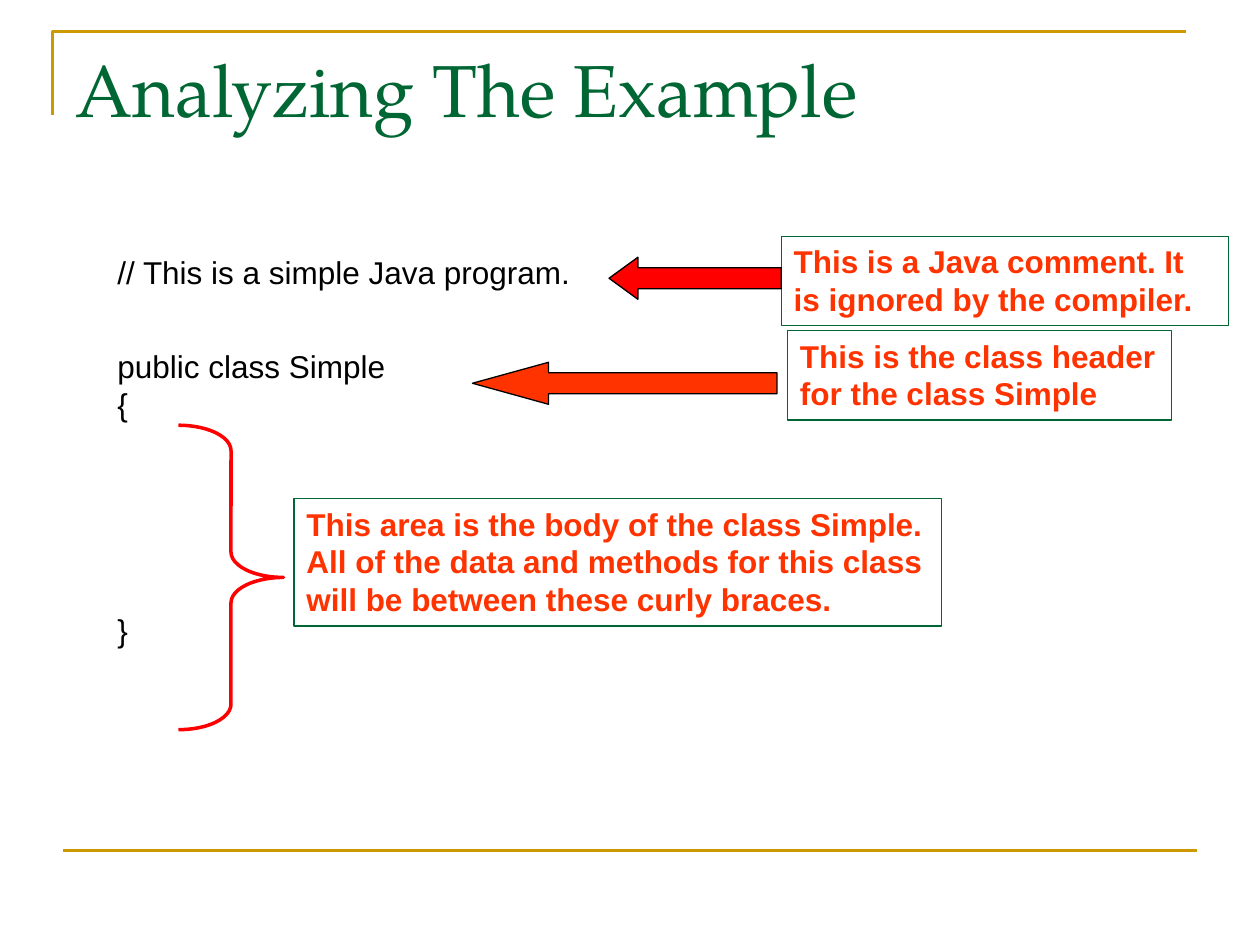
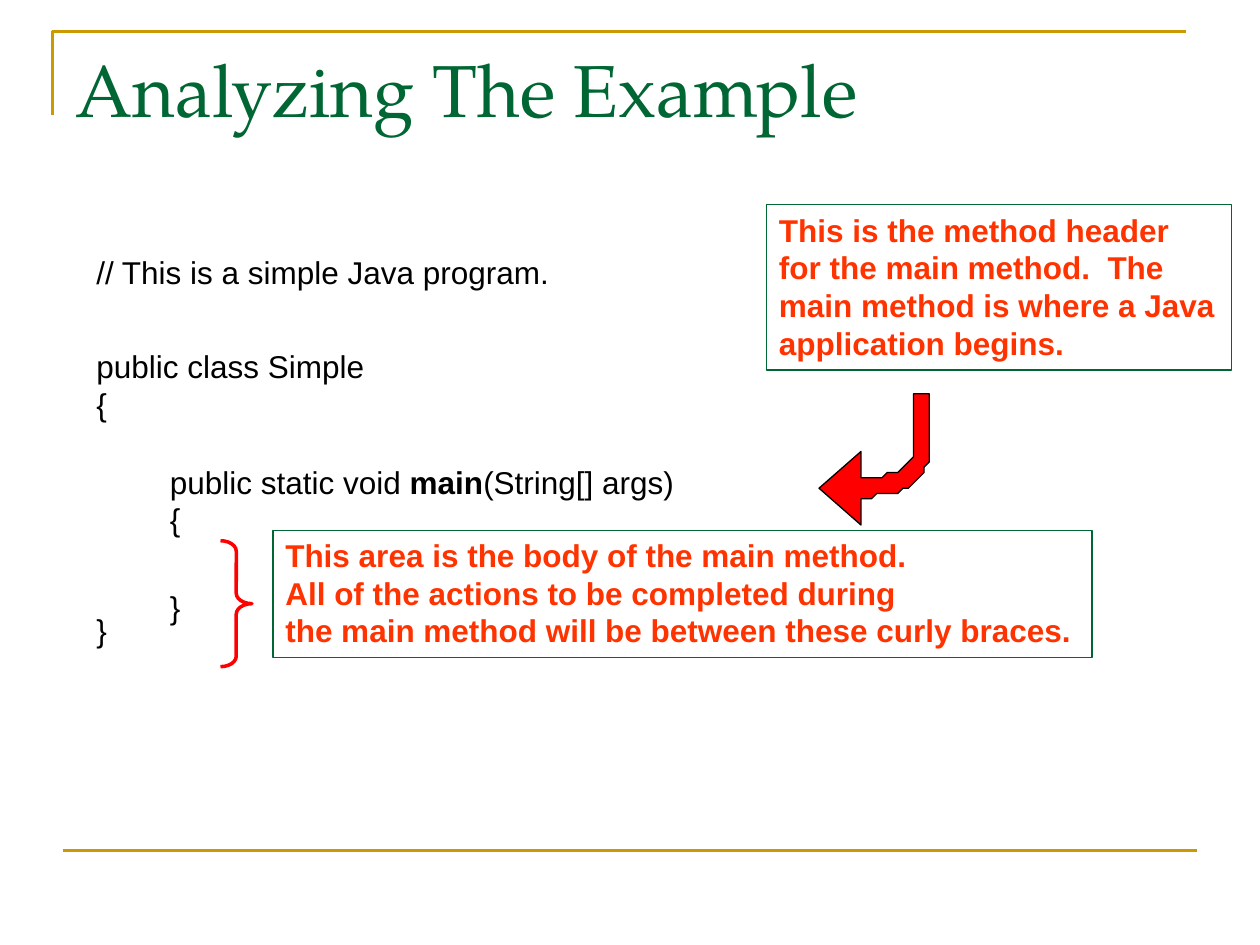
from dataclasses import dataclass
from math import cos, pi, sin

from lxml import etree
from pptx import Presentation
from pptx.dml.color import RGBColor
from pptx.enum.shapes import MSO_CONNECTOR, MSO_SHAPE
from pptx.enum.text import MSO_ANCHOR, PP_ALIGN
from pptx.oxml.ns import qn
from pptx.util import Emu, Inches, Pt

# Enum members
RECTANGLE = MSO_SHAPE.RECTANGLE
BRACE = MSO_SHAPE.RIGHT_BRACE
ARROW = MSO_SHAPE.LEFT_ARROW
STRAIGHT = MSO_CONNECTOR.STRAIGHT
LEFT, TOP = PP_ALIGN.LEFT, MSO_ANCHOR.TOP

# Colours
GOLD = RGBColor(0xCC, 0x99, 0x00)
GREEN = RGBColor(0x00, 0x66, 0x33)
ORANGE = RGBColor(0xFF, 0x33, 0x00)
RED = RGBColor(0xFF, 0x00, 0x00)
BLACK = RGBColor(0x00, 0x00, 0x00)

# The page is a grid of 240 columns by 180 rows
COLUMNS, ROWS = 240, 180
WIDTH, HEIGHT = Inches(10), Inches(7.5)
CELL = WIDTH // COLUMNS

# Text styles
TITLE_FONT = {"name": "TeX Gyre Pagella", "size": Pt(42), "color": GREEN}
CODE_FONT = {"name": "Arial", "size": Pt(18), "color": BLACK}
NOTE_FONT = {"name": "Arial", "size": Pt(18), "color": ORANGE, "bold": True}
LINE_PITCH = 21.5  # points
PARAGRAPH_GAP = 7.2  # points


@dataclass(frozen=True)
class Span:
    text: str
    bold: bool = False


@dataclass(frozen=True)
class Line:
    spans: tuple[Span, ...]
    before: float = 0  # points above the line


@dataclass(frozen=True)
class Area:
    column: float
    row: float
    columns: float
    rows: float

    def lengths(self) -> list[Emu]:
        return [grid(n) for n in (self.column, self.row, self.columns, self.rows)]


@dataclass(frozen=True)
class Note:
    column: float
    row: float
    columns: float
    lines: tuple[str, ...]
    height_lines: int


@dataclass(frozen=True)
class Mark:
    kind: MSO_SHAPE
    area: Area
    adjustments: tuple[float, float]
    fill: RGBColor | None
    line: RGBColor
    weight: float


def grid(count: float) -> Emu:
    return Emu(round(count * CELL))


def code(text: str, before: float = 0) -> Line:
    return Line((Span(text),), before)


def paint(shape, fill: RGBColor | None, line: RGBColor, weight: float) -> None:
    shape.shadow.inherit = False
    if fill is None:
        shape.fill.background()
    else:
        shape.fill.solid()
        shape.fill.fore_color.rgb = fill
    shape.line.color.rgb = line
    shape.line.width = Pt(weight)


def write(box, lines: list[Line], style: dict, pitch: float | None = None) -> None:
    frame = box.text_frame
    frame.word_wrap = True
    frame.vertical_anchor = TOP
    for index, line in enumerate(lines):
        para = frame.paragraphs[0] if index == 0 else frame.add_paragraph()
        para.alignment = LEFT
        para.space_before = Pt(line.before)
        if pitch:
            para.line_spacing = Pt(pitch)
        for part in line.spans:
            span = para.add_run()
            span.text = part.text
            for name, value in style.items():
                if name == "color":
                    span.font.color.rgb = value
                else:
                    setattr(span.font, name, value)
            if part.bold:
                span.font.bold = True


def add_code(page, area: Area, lines: list[Line]) -> None:
    box = page.shapes.add_textbox(*area.lengths())
    write(box, lines, CODE_FONT, LINE_PITCH)


def add_note(page, note: Note) -> None:
    area = Area(note.column, note.row, note.columns, 2.5 + 7.25 * note.height_lines)
    box = page.shapes.add_shape(RECTANGLE, *area.lengths())
    paint(box, None, GREEN, 0.75)
    write(box, [code(text) for text in note.lines], NOTE_FONT, LINE_PITCH)


def add_mark(page, mark: Mark) -> None:
    shape = page.shapes.add_shape(mark.kind, *mark.area.lengths())
    for index, value in enumerate(mark.adjustments):
        shape.adjustments[index] = value
    paint(shape, mark.fill, mark.line, mark.weight)


def add_outline(page, points: list[tuple[float, float]], close: bool):
    builder = page.shapes.build_freeform(*points[0], scale=float(CELL))
    builder.add_line_segments(points[1:], close=close)
    return builder.convert_to_shape()


def quarter(across: float, down: float) -> list[tuple[float, float]]:
    """Quarter ellipse of the bent arrow, from its bottom to its right side."""
    steps = 16
    angles = [pi / 2 * step / steps for step in range(steps + 1)]
    return [(165 + across * sin(a), 86 + down * cos(a)) for a in angles]


def add_bent_arrow(page) -> None:
    points = [(156, 92.9), (164.2, 99.8), (164.2, 94.6)]
    points += quarter(12.3, 8.6) + [(177.3, 75), (174, 75)]
    points += quarter(9, 5)[::-1] + [(164.2, 91), (164.2, 86)]
    paint(add_outline(page, points, True), RED, BLACK, 0.75)


def add_page(deck, title: str):
    """Blank page with the shared frame lines and title."""
    page = deck.slides.add_slide(deck.slide_layouts[6])
    corner = add_outline(page, [(10, 22), (10, 6), (226, 6)], False)
    paint(corner, None, GOLD, 1.5)
    rule = page.shapes.add_connector(
        STRAIGHT, grid(12), grid(162), grid(228), grid(162))
    rule.line.color.rgb = GOLD
    rule.line.width = Pt(1.5)
    etree.SubElement(rule.element.spPr, qn("a:effectLst"))
    box = page.shapes.add_textbox(*Area(12, 7.2, 216, 30).lengths())
    write(box, [code(title)], TITLE_FONT)
    return page


def add_program(page, column: float) -> None:
    """The comment and the class with its braces."""
    add_code(page, Area(column, 47, 109, 14),
             [code("// This is a simple Java program.")])
    add_code(page, Area(column, 65, 78, 81),
             [code("public class Simple"), code("{"), code("}", 5 * LINE_PITCH)])


TITLE = "Analyzing The Example"

CLASS_NOTES = [
    Note(56, 95, 123.4, (
        "This area is the body of the class Simple.",
        "All of the data and methods for this class",
        "will be between these curly braces."), 3),
    Note(148.8, 45, 85.2, (
        "This is a Java comment. It is ignored by the compiler.",), 2),
    Note(150, 63, 73.2, ("This is the class header", "for the class Simple"), 2),
]
CLASS_MARKS = [
    Mark(BRACE, Area(34, 81, 20, 58), (0.242, 0.5), None, RED, 2),
    Mark(ARROW, Area(116, 49, 32.8, 8), (0.5, 0.688), RED, BLACK, 0.75),
    Mark(ARROW, Area(90, 69, 58, 8), (0.5, 1.812), ORANGE, BLACK, 0.75),
]
METHOD_NOTES = [
    Note(52, 101, 156, (
        "This area is the body of the main method.",
        "All of the actions to be completed during",
        "the main method will be between these curly braces."), 3),
    Note(146, 39, 88.6, (
        "This is the method header",
        "for the main method.  The",
        "main method is where a Java",
        "application begins."), 4),
]
METHOD_MARKS = [
    Mark(BRACE, Area(42, 103, 6, 24), (0.333, 0.5), None, RED, 2),
]
MAIN_METHOD = [
    Line((Span("public static void "), Span("main", True), Span("(String[] args)"))),
    code("{"),
    code("}", LINE_PITCH + PARAGRAPH_GAP),
]


def main() -> None:
    deck = Presentation()
    deck.slide_width, deck.slide_height = WIDTH, HEIGHT

    # Comment, class header and class body
    page = add_page(deck, TITLE)
    add_program(page, 20)
    for note in CLASS_NOTES:
        add_note(page, note)
    for mark in CLASS_MARKS:
        add_mark(page, mark)

    # Main method
    page = add_page(deck, TITLE)
    add_program(page, 16)
    add_code(page, Area(30, 87, 102, 43), MAIN_METHOD)
    for note in METHOD_NOTES:
        add_note(page, note)
    for mark in METHOD_MARKS:
        add_mark(page, mark)
    add_bent_arrow(page)

    deck.save("out.pptx")


main()
